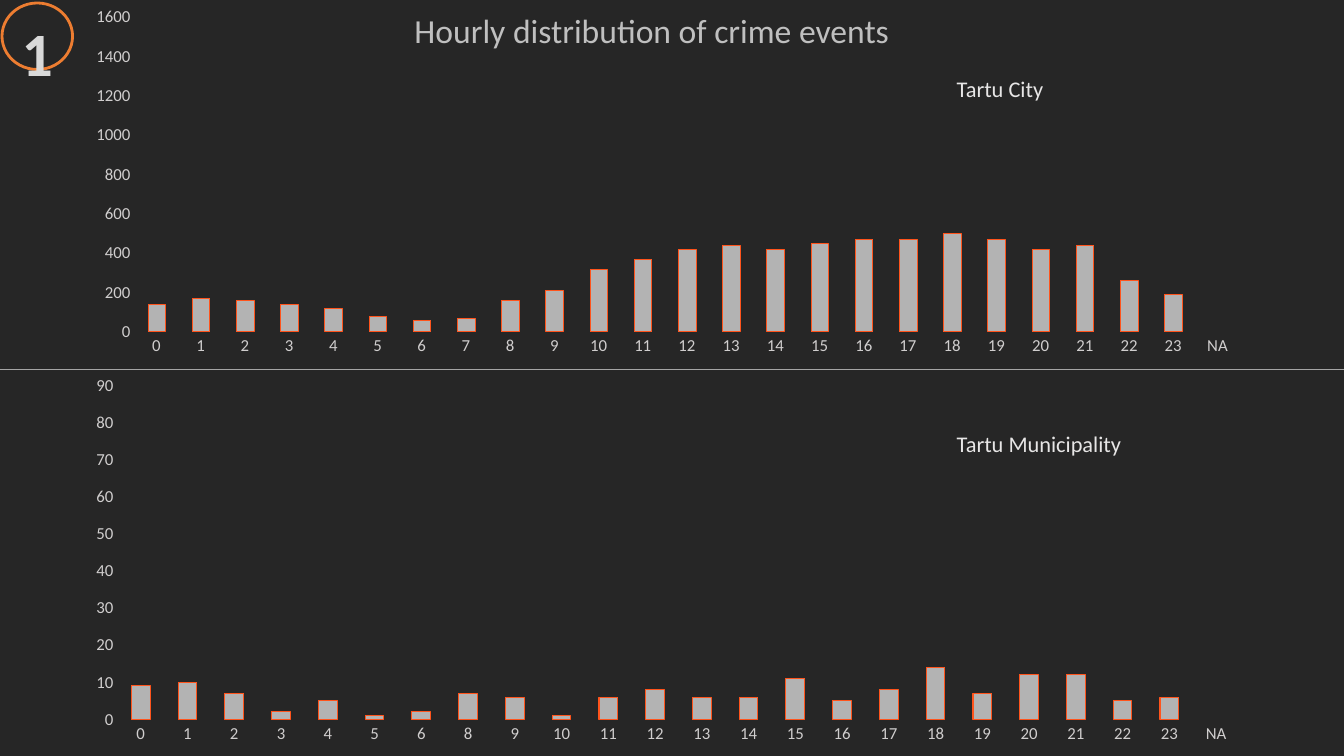
from dataclasses import dataclass
from typing import Any, Optional

from lxml import etree
from pptx import Presentation
from pptx import util as u
from pptx.chart import data as chart_data
from pptx.dml import color
from pptx.enum import chart as chart_enum
from pptx.enum import shapes, text
from pptx.oxml import ns


def rgb(code: str) -> color.RGBColor:
    return color.RGBColor.from_string(code)


@dataclass(frozen=True)
class Theme:
    font: str = "Calibri"
    background: color.RGBColor = rgb("262626")
    bar: color.RGBColor = rgb("B3B3B3")
    bar_line: color.RGBColor = rgb("FF541C")
    axis: color.RGBColor = rgb("D0CECE")
    divider: color.RGBColor = rgb("A5A5A5")
    title: color.RGBColor = rgb("BFBFBF")
    label: color.RGBColor = rgb("E7E6E6")
    ring: color.RGBColor = rgb("ED7D31")
    number: color.RGBColor = rgb("D9D9D9")
    chart_size: int = 10
    axis_size: int = 12
    label_size: int = 16
    title_size: int = 24
    number_size: int = 44


THEME = Theme()


@dataclass(frozen=True)
class Box:
    left: float
    top: float
    width: float
    height: float

    def lengths(self) -> list[u.Length]:
        return [u.Inches(n) for n in (self.left, self.top, self.width, self.height)]


@dataclass(frozen=True)
class HourChart:
    box: Box
    hours: list[int]
    counts: list[int]
    maximum: int
    step: int
    line_width: float


@dataclass(frozen=True)
class Label:
    box: Box
    words: str
    size: int
    tint: color.RGBColor
    bold: bool = False
    wrap: bool = True
    anchor: text.MSO_ANCHOR = text.MSO_ANCHOR.TOP
    align: text.PP_ALIGN = text.PP_ALIGN.LEFT
    spacing: Optional[float] = None


HOUR_CHARTS = [
    HourChart(
        Box(0.72, 0, 11.81, 3.6),
        list(range(24)),
        [140, 170, 160, 140, 120, 80, 60, 70, 160, 210, 320, 370,
         420, 440, 420, 450, 470, 470, 500, 470, 420, 440, 260, 190],
        1600, 200, 0.25,
    ),
    HourChart(
        Box(0.72, 3.65, 11.81, 3.8),
        [hour for hour in range(24) if hour != 7],
        [9, 10, 7, 2, 5, 1, 2, 7, 6, 1, 6, 8,
         6, 6, 11, 5, 8, 14, 7, 12, 12, 5, 6],
        90, 10, 0.75,
    ),
]

LABELS = [
    Label(Box(3.46, -0.1, 6.01, 0.79), "Hourly distribution of crime events",
          THEME.title_size, THEME.title,
          anchor=text.MSO_ANCHOR.MIDDLE, align=text.PP_ALIGN.CENTER),
    Label(Box(9.39, 0.7, 2.42, 0.37), "Tartu City", THEME.label_size, THEME.label),
    Label(Box(9.39, 4.22, 1.85, 0.37), "Tartu Municipality",
          THEME.label_size, THEME.label, wrap=False),
]

BADGE_RING = Box(0.02, 0.03, 0.7, 0.66)
BADGE_NUMBER = Label(Box(0.02, -0.27, 0.7, 1.08), "1", THEME.number_size, THEME.number,
                     bold=True, align=text.PP_ALIGN.CENTER, spacing=1.5)


def apply_format(target: Any, values: dict[str, Any]) -> None:
    for name, value in values.items():
        setattr(target, name, value)


def format_font(font: Any, size: int, tint: color.RGBColor, bold: bool = False) -> None:
    apply_format(font, {"name": THEME.font, "size": u.Pt(size), "bold": bold})
    font.color.rgb = tint


def format_line(line: Any, tint: color.RGBColor, width: float) -> None:
    line.color.rgb = tint
    line.width = u.Pt(width)


def add_hour_chart(slide: Any, hour_chart: HourChart) -> None:
    data = chart_data.CategoryChartData(number_format="0")
    data.categories = [str(hour) for hour in hour_chart.hours] + ["NA"]
    data.add_series("Series 1", hour_chart.counts + [None])
    chart = slide.shapes.add_chart(
        chart_enum.XL_CHART_TYPE.COLUMN_CLUSTERED, *hour_chart.box.lengths(), data
    ).chart
    apply_format(chart, {"has_legend": False, "has_title": False})
    format_font(chart.font, THEME.chart_size, rgb("000000"))

    apply_format(chart.value_axis, {
        "minimum_scale": 0,
        "maximum_scale": hour_chart.maximum,
        "major_unit": hour_chart.step,
    })
    for axis in (chart.category_axis, chart.value_axis):
        apply_format(axis, {
            "has_major_gridlines": False,
            "major_tick_mark": chart_enum.XL_TICK_MARK.NONE,
            "minor_tick_mark": chart_enum.XL_TICK_MARK.NONE,
        })
        axis.format.line.fill.background()
        format_font(axis.tick_labels.font, THEME.axis_size, THEME.axis)
    apply_format(chart.value_axis.tick_labels,
                 {"number_format": "0", "number_format_is_linked": False})

    plot = chart.plots[0]
    apply_format(plot, {"gap_width": 150, "vary_by_categories": False})
    bars = plot.series[0]
    bars.invert_if_negative = False
    bars.format.fill.solid()
    bars.format.fill.fore_color.rgb = THEME.bar
    format_line(bars.format.line, THEME.bar_line, hour_chart.line_width)


def add_label(container: Any, label: Label) -> None:
    frame = container.shapes.add_textbox(*label.box.lengths()).text_frame
    apply_format(frame, {"word_wrap": label.wrap, "vertical_anchor": label.anchor})
    paragraph = frame.paragraphs[0]
    apply_format(paragraph, {"alignment": label.align, "line_spacing": label.spacing})
    run = paragraph.add_run()
    run.text = label.words
    format_font(run.font, label.size, label.tint, label.bold)


def add_divider(slide: Any, top: float, width: float) -> None:
    divider = slide.shapes.add_connector(
        shapes.MSO_CONNECTOR.STRAIGHT,
        u.Inches(0), u.Inches(top), u.Inches(width), u.Inches(top),
    )
    format_line(divider.line, THEME.divider, 0.5)
    etree.SubElement(divider._element.spPr, ns.qn("a:effectLst"))


def add_badge(slide: Any) -> None:
    badge = slide.shapes.add_group_shape()
    ring = badge.shapes.add_shape(shapes.MSO_SHAPE.OVAL, *BADGE_RING.lengths())
    ring.shadow.inherit = False
    ring.fill.background()
    format_line(ring.line, THEME.ring, 2)
    add_label(badge, BADGE_NUMBER)


def main() -> None:
    presentation = Presentation()
    apply_format(presentation,
                 {"slide_width": u.Inches(13.33), "slide_height": u.Inches(7.5)})
    slide = presentation.slides.add_slide(presentation.slide_layouts[6])
    slide.background.fill.solid()
    slide.background.fill.fore_color.rgb = THEME.background

    for hour_chart in HOUR_CHARTS:
        add_hour_chart(slide, hour_chart)
    add_divider(slide, 3.66, 13.33)
    for label in LABELS:
        add_label(slide, label)
    add_badge(slide)
    presentation.save("out.pptx")


if __name__ == "__main__":
    main()
